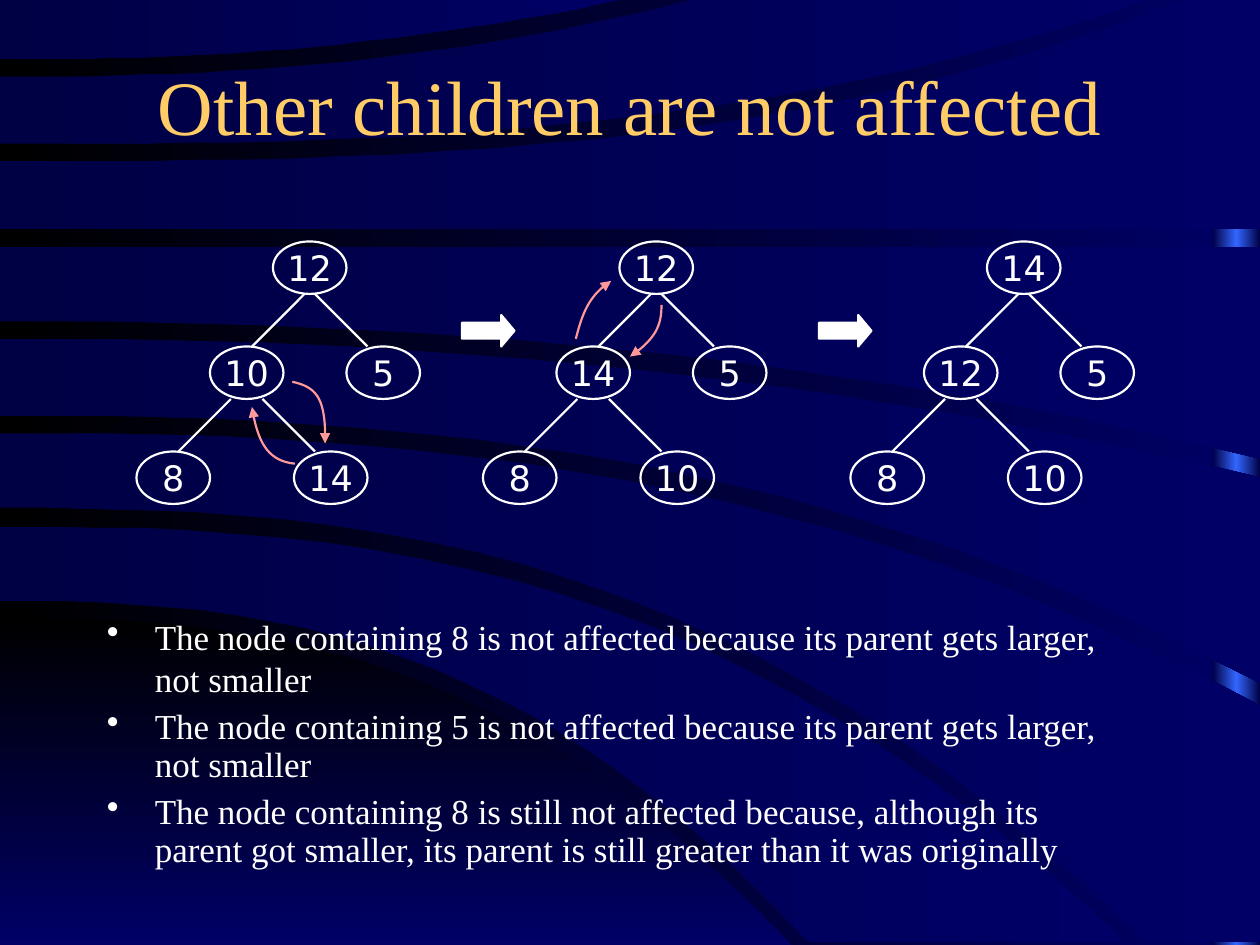
from dataclasses import dataclass

from lxml import etree
from pptx import Presentation
from pptx.dml.color import RGBColor
from pptx.enum.shapes import MSO_CONNECTOR, MSO_SHAPE
from pptx.enum.text import MSO_ANCHOR, PP_ALIGN
from pptx.oxml.ns import qn
from pptx.util import Inches, Pt

OVAL, BLOCK_ARROW, RECTANGLE = MSO_SHAPE.OVAL, MSO_SHAPE.RIGHT_ARROW, MSO_SHAPE.RECTANGLE
STRAIGHT = MSO_CONNECTOR.STRAIGHT
CENTER, LEFT = PP_ALIGN.CENTER, PP_ALIGN.LEFT
TOP, MIDDLE = MSO_ANCHOR.TOP, MSO_ANCHOR.MIDDLE


@dataclass(frozen=True)
class Theme:
    black: str = "000000"
    navy: str = "000044"
    blue: str = "000066"
    glow: str = "3366FF"
    gold: str = "FFCC66"
    white: str = "FFFFFF"
    pink: str = "FF9999"
    serif: str = "Times New Roman"
    sans: str = "DejaVu Sans"
    title_size: int = 44
    text_size: int = 20
    line_width: float = 1.25


@dataclass(frozen=True)
class Edge:
    start_y: float
    end_x: float
    end_y: float
    power: float = 1

    def points(self):
        if self.power == 1:
            return [(0, self.start_y), (self.end_x, self.end_y)]
        shares = [step / EDGE_STEPS for step in range(EDGE_STEPS + 1)]
        rise = self.end_y - self.start_y
        return [(self.end_x * share, self.start_y + rise * share ** self.power)
                for share in shares]


THEME = Theme()
COLUMNS, ROWS = 120, 90
EDGE_STEPS = 24
NODE_WIDTH, NODE_HEIGHT = 7, 5
NODE_PLACES = [(13, 23), (7, 33), (20, 33), (0, 43), (15, 43)]
TREE_LINES = [(16, 28, 11, 33), (17, 28, 22, 33), (9, 38, 4, 43), (12, 38, 17, 43)]
TREES = [(13, [12, 10, 5, 8, 14]), (46, [12, 14, 5, 8, 10]), (81, [14, 12, 5, 8, 10])]
BLOCK_ARROW_COLUMNS = [44, 78]

HILL = (Edge(4.91, 6.28, 7.5, 2.6), Edge(7.5, 6.28, 7.5))
BANDS = [
    (Edge(4.18, 8.93, 7.48, 2.6), Edge(4.77, 6.42, 7.48, 2.6)),
    (Edge(3.44, 10, 5.6, 2.5), Edge(4.03, 9.09, 7.48, 2.6)),
    (Edge(2.69, 10, 3.79, 2.2), Edge(3.3, 10, 5.42, 2.5)),
    (Edge(1.96, 10, 1.96), Edge(2.55, 10, 3.64, 2.25)),
    (Edge(1.28, 9.43, -0.02, 2.9), Edge(1.82, 10, 1.82)),
    (Edge(0.61, 5.56, -0.02, 2.35), Edge(1.14, 9.17, -0.02, 2.8)),
    (Edge(-0.02, 5.01, -0.02), Edge(0.47, 5.01, -0.02, 2.25))]
BAND_CORNERS = {1: [(10, 7.48)], 4: [(10, -0.02)]}
CHILD_SWAP = [
    [(2.34, 3.68), (2.14, 3.66), (2.04, 3.5), (2, 3.23)],
    [(2.32, 3.03), (2.5, 3.07), (2.59, 3.16), (2.58, 3.52)]]
ROOT_SWAP = [
    [(4.57, 2.69), (4.62, 2.49), (4.69, 2.33), (4.85, 2.23)],
    [(5.25, 2.42), (5.25, 2.56), (5.21, 2.69), (5, 2.83)]]


def grid(*cells):
    return [round(Inches(10) * cell / COLUMNS) for cell in cells]


def color(value):
    return RGBColor.from_string(value)


def set_line(item, value):
    item.line.color.rgb = color(value)
    item.line.width = Pt(THEME.line_width)


def set_gradient(fill, element, colors, angle=0):
    fill.gradient()
    fill.gradient_angle = angle
    stops = next(element.iter(qn("a:gsLst")))
    for stop in list(stops):
        stops.remove(stop)
    for index, value in enumerate(colors):
        position = str(100000 * index // (len(colors) - 1))
        stop = etree.SubElement(stops, qn("a:gs"), pos=position)
        etree.SubElement(stop, qn("a:srgbClr"), val=value)


def add_outline(shapes, points, close):
    start, *others = [(round(100 * x), round(100 * y)) for x, y in points]
    builder = shapes.build_freeform(*start, scale=Inches(1) / 100)
    builder.add_line_segments(others, close=close)
    outline = builder.convert_to_shape()
    outline.shadow.inherit = False
    return outline


def add_band(page, edges, corners, colors, angle=0):
    upper, lower = edges
    points = upper.points() + corners + lower.points()[::-1]
    band = add_outline(page.shapes, points, True)
    set_gradient(band.fill, band.element, colors, angle)
    band.line.fill.background()


def add_backdrop(page):
    set_gradient(page.background.fill, page.element, [THEME.black, THEME.blue])
    strip = page.shapes.add_shape(RECTANGLE, *grid(115.5, 0, 4.5, ROWS))
    strip.shadow.inherit = False
    set_gradient(strip.fill, strip.element, [THEME.navy, THEME.glow, THEME.navy])
    strip.line.fill.background()
    add_band(page, HILL, [], [THEME.black, THEME.blue], 270)
    for index, edges in enumerate(BANDS):
        add_band(page, edges, BAND_CORNERS.get(index, []), [THEME.navy, THEME.blue])


def style_para(para, size, font, value, align):
    para.alignment = align
    for span in para.runs:
        span.font.size = Pt(size)
        span.font.name = font
        span.font.color.rgb = color(value)


def add_text(page, cells, lines, size, value, align, anchor):
    box = page.shapes.add_textbox(*grid(*cells))
    frame = box.text_frame
    frame.word_wrap = True
    frame.vertical_anchor = anchor
    frame.text = "\n".join(lines)
    for para in frame.paragraphs:
        style_para(para, size, THEME.serif, value, align)
    return frame


def add_bullets(page, cells, lines, spacing):
    frame = add_text(page, cells, lines, THEME.text_size, THEME.white, LEFT, TOP)
    indent = Inches(0.38)
    for para in frame.paragraphs:
        para.line_spacing = spacing
        para.space_before = Pt(5)
        properties = para._p.get_or_add_pPr()
        properties.set("marL", str(indent))
        properties.set("indent", str(-indent))
        bullet_color = etree.SubElement(properties, qn("a:buClr"))
        etree.SubElement(bullet_color, qn("a:srgbClr"), val=THEME.white)
        etree.SubElement(properties, qn("a:buChar"), char="•")


def add_node(shapes, column, row, value):
    node = shapes.add_shape(OVAL, *grid(column, row, NODE_WIDTH, NODE_HEIGHT))
    node.shadow.inherit = False
    node.fill.background()
    set_line(node, THEME.white)
    frame = node.text_frame
    frame.word_wrap = False
    frame.vertical_anchor = MIDDLE
    frame.text = str(value)
    style_para(frame.paragraphs[0], THEME.text_size, THEME.sans, THEME.white, CENTER)


def add_tree(page, left, values):
    tree = page.shapes.add_group_shape()
    for (column, row), value in zip(NODE_PLACES, values):
        add_node(tree.shapes, left + column, row, value)
    for x1, y1, x2, y2 in TREE_LINES:
        branch = tree.shapes.add_connector(STRAIGHT, *grid(left + x1, y1, left + x2, y2))
        set_line(branch, THEME.white)
        etree.SubElement(branch.element.spPr, qn("a:effectLst"))


def add_swap(page, curves):
    swap = page.shapes.add_group_shape()
    for points in curves:
        arrow = add_outline(swap.shapes, points, False)
        arrow.fill.background()
        set_line(arrow, THEME.pink)
        stroke = next(arrow.element.iter(qn("a:ln")))
        etree.SubElement(stroke, qn("a:tailEnd"), type="triangle")
        track = next(arrow.element.iter(qn("a:path")))
        curve = etree.SubElement(track, qn("a:cubicBezTo"))
        for segment in track.findall(qn("a:lnTo")):
            curve.append(segment[0])
            track.remove(segment)


def add_block_arrow(page, column):
    arrow = page.shapes.add_shape(BLOCK_ARROW, *grid(column, 30, 5, 3))
    arrow.shadow.inherit = False
    arrow.adjustments[0], arrow.adjustments[1] = 0.5, 0.42
    arrow.fill.solid()
    arrow.fill.fore_color.rgb = color(THEME.white)
    set_line(arrow, THEME.white)


def main():
    deck = Presentation()
    deck.slide_width, deck.slide_height = grid(COLUMNS, ROWS)
    page = deck.slides.add_slide(deck.slide_layouts[6])
    add_backdrop(page)
    add_text(page, (4, 5, 112, 10), ["Other children are not affected"],
             THEME.title_size, THEME.gold, CENTER, MIDDLE)
    add_bullets(page, (9, 58, 98, 9.75), [
        "The node containing 8 is not affected because its parent gets larger, not smaller"], 1.0)
    add_bullets(page, (9, 67, 100, 17), [
        "The node containing 5 is not affected because its parent gets larger, not smaller",
        "The node containing 8 is still not affected because, although its parent got smaller, "
        "its parent is still greater than it was originally"], 0.9)
    for left, values in TREES:
        add_tree(page, left, values)
    for column in BLOCK_ARROW_COLUMNS:
        add_block_arrow(page, column)
    for curves in (CHILD_SWAP, ROOT_SWAP):
        add_swap(page, curves)
    deck.save("out.pptx")


if __name__ == "__main__":
    main()
